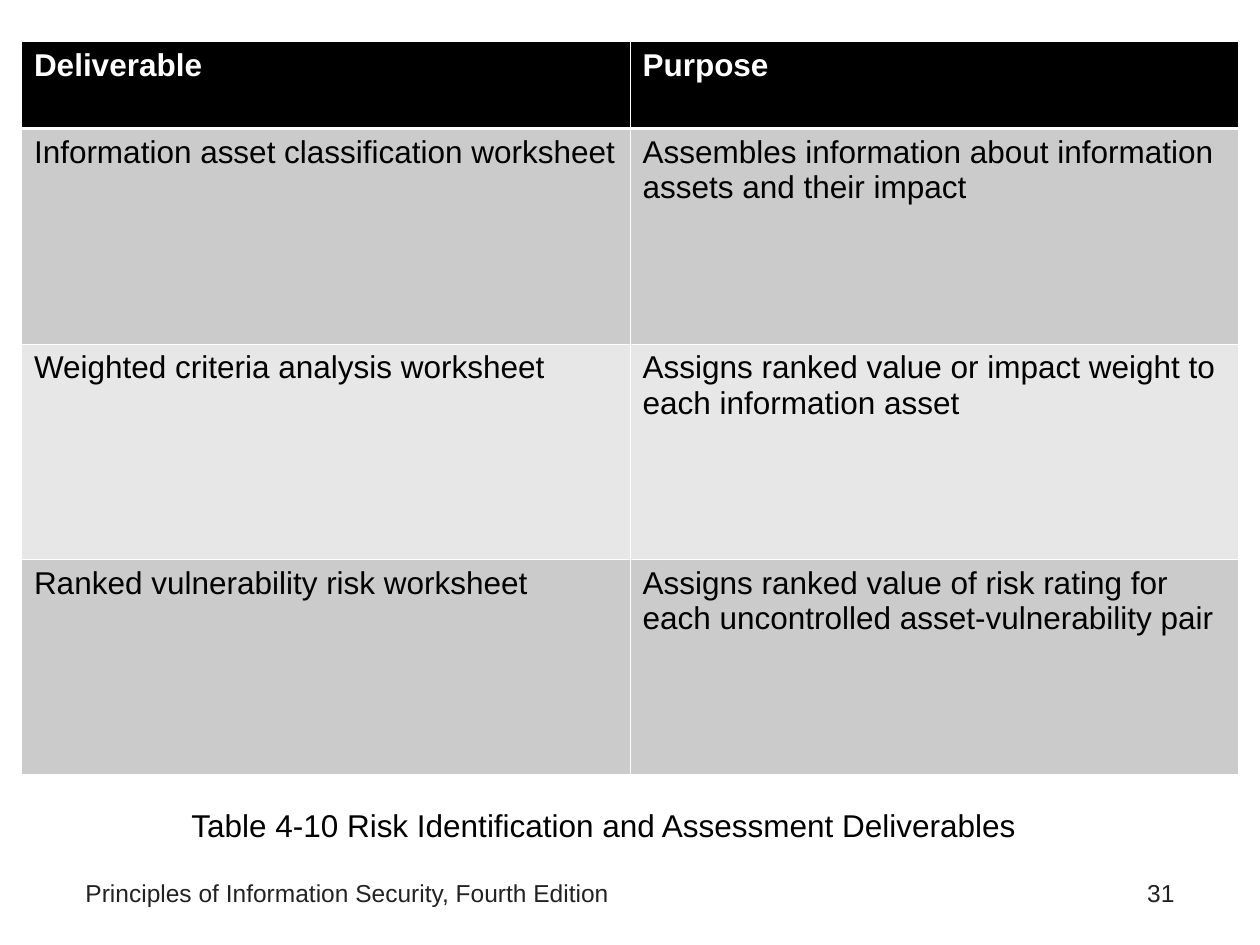
from dataclasses import dataclass

import lxml.etree
import pptx
import pptx.dml.color
import pptx.enum.text
import pptx.oxml.ns
import pptx.util

Inches = pptx.util.Inches
Pt = pptx.util.Pt
ALIGN = pptx.enum.text.PP_ALIGN

FONT = "Arial"
COLORS = {
    "black": "000000",
    "white": "FFFFFF",
    "footer": "222222",
    "band_dark": "CBCBCB",
    "band_light": "E7E7E7",
}
THIN, THICK = 0.45, 1.47

ROWS = [
    ("Deliverable", "Purpose"),
    ("Information asset classification worksheet",
     "Assembles information about information assets and their impact"),
    ("Weighted criteria analysis worksheet",
     "Assigns ranked value or impact weight to each information asset"),
    ("Ranked vulnerability risk worksheet",
     "Assigns ranked value of risk rating for each uncontrolled asset-vulnerability pair"),
]
ROW_HEIGHTS = [0.69] + [1.71] * 3
COL_WIDTH = 4.83


@dataclass
class Label:
    text: str
    left: float
    top: float
    width: float
    height: float
    size: int
    color: str
    align: ALIGN = ALIGN.LEFT


LABELS = [
    Label("Principles of Information Security, Fourth Edition",
          0.58, 6.92, 6.42, 0.42, 14, "footer"),
    Label("31", 7.17, 6.92, 2.25, 0.42, 14, "footer", ALIGN.RIGHT),
    Label("Table 4-10 Risk Identification and Assessment Deliverables",
          1.42, 6.35, 6.83, 0.4, 18, "black"),
]


def rgb(name: str) -> pptx.dml.color.RGBColor:
    return pptx.dml.color.RGBColor.from_string(COLORS[name])


def add_run(p, text: str, size: int, color: str, bold: bool = False) -> None:
    r = p.add_run()
    r.text = text
    r.font.name = FONT
    r.font.size = Pt(size)
    r.font.bold = bold
    r.font.color.rgb = rgb(color)


def add_label(slide, label: Label) -> None:
    sp = slide.shapes.add_textbox(Inches(label.left), Inches(label.top),
                                  Inches(label.width), Inches(label.height))
    tf = sp.text_frame
    tf.word_wrap = True
    p = tf.paragraphs[0]
    p.alignment = label.align
    add_run(p, label.text, label.size, label.color)


def set_border(cell, side: str, width: float) -> None:
    qn = pptx.oxml.ns.qn
    tc_pr = cell._tc.get_or_add_tcPr()
    ln = lxml.etree.SubElement(tc_pr, qn(f"a:ln{side}"), w=str(Pt(width)))
    fill = lxml.etree.SubElement(ln, qn("a:solidFill"))
    lxml.etree.SubElement(fill, qn("a:srgbClr"), val=COLORS["white"])


def format_cell(cell, text: str, row: int) -> None:
    header = row == 0
    widths = {"L": THIN, "R": THIN,
              "T": THICK if row == 1 else THIN,
              "B": THICK if header else THIN}
    for side, width in widths.items():
        set_border(cell, side, width)
    band = "band_dark" if row % 2 else "band_light"
    cell.fill.solid()
    cell.fill.fore_color.rgb = rgb("black" if header else band)
    add_run(cell.text_frame.paragraphs[0], text, 18,
            "white" if header else "black", header)


def add_deliverables_table(slide) -> None:
    cols = len(ROWS[0])
    frame = slide.shapes.add_table(
        len(ROWS), cols, Inches(0.17), Inches(0.33),
        Inches(COL_WIDTH * cols), Inches(sum(ROW_HEIGHTS)))
    table = frame.table
    for column in table.columns:
        column.width = Inches(COL_WIDTH)
    for i, (texts, height) in enumerate(zip(ROWS, ROW_HEIGHTS)):
        table.rows[i].height = Inches(height)
        for j, text in enumerate(texts):
            format_cell(table.cell(i, j), text, i)


def main() -> None:
    prs = pptx.Presentation()
    prs.slide_width = Inches(10)
    prs.slide_height = Inches(7.5)
    slide = prs.slides.add_slide(prs.slide_layouts[6])
    for label in LABELS:
        add_label(slide, label)
    add_deliverables_table(slide)
    prs.save("out.pptx")


if __name__ == "__main__":
    main()
